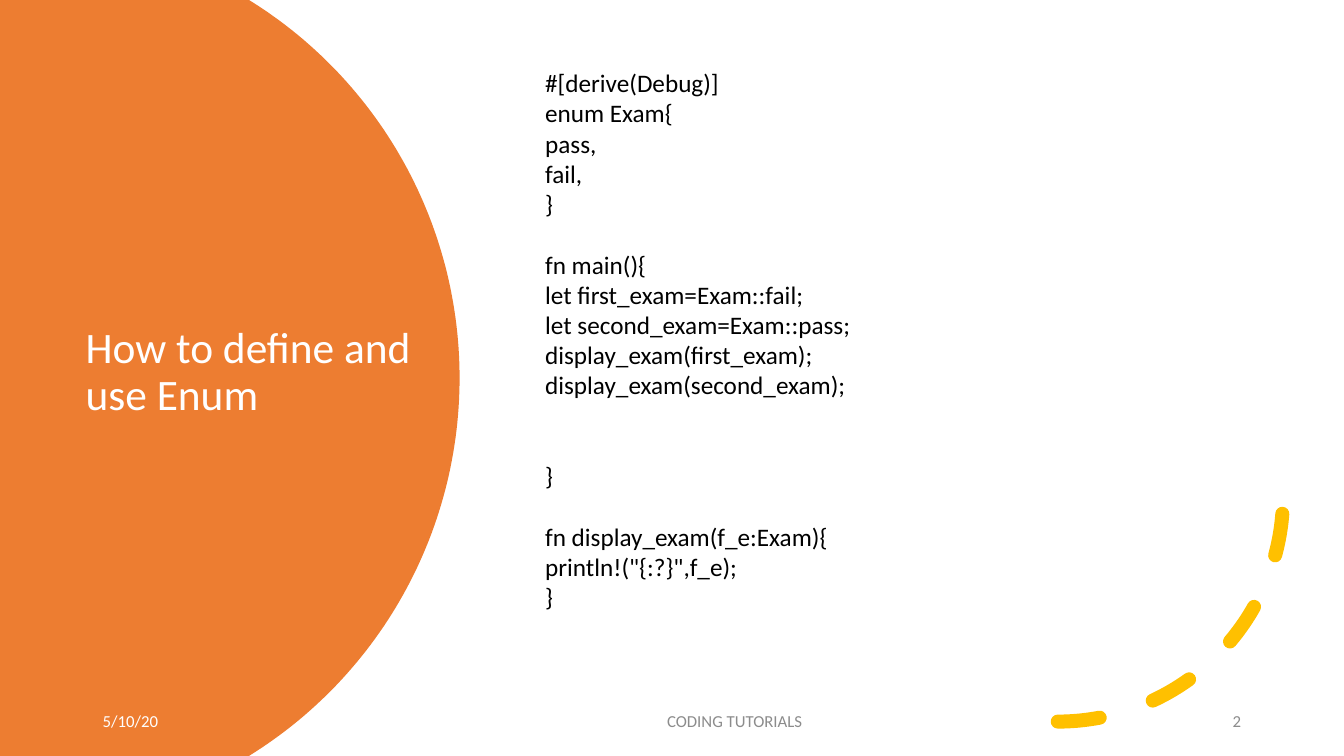
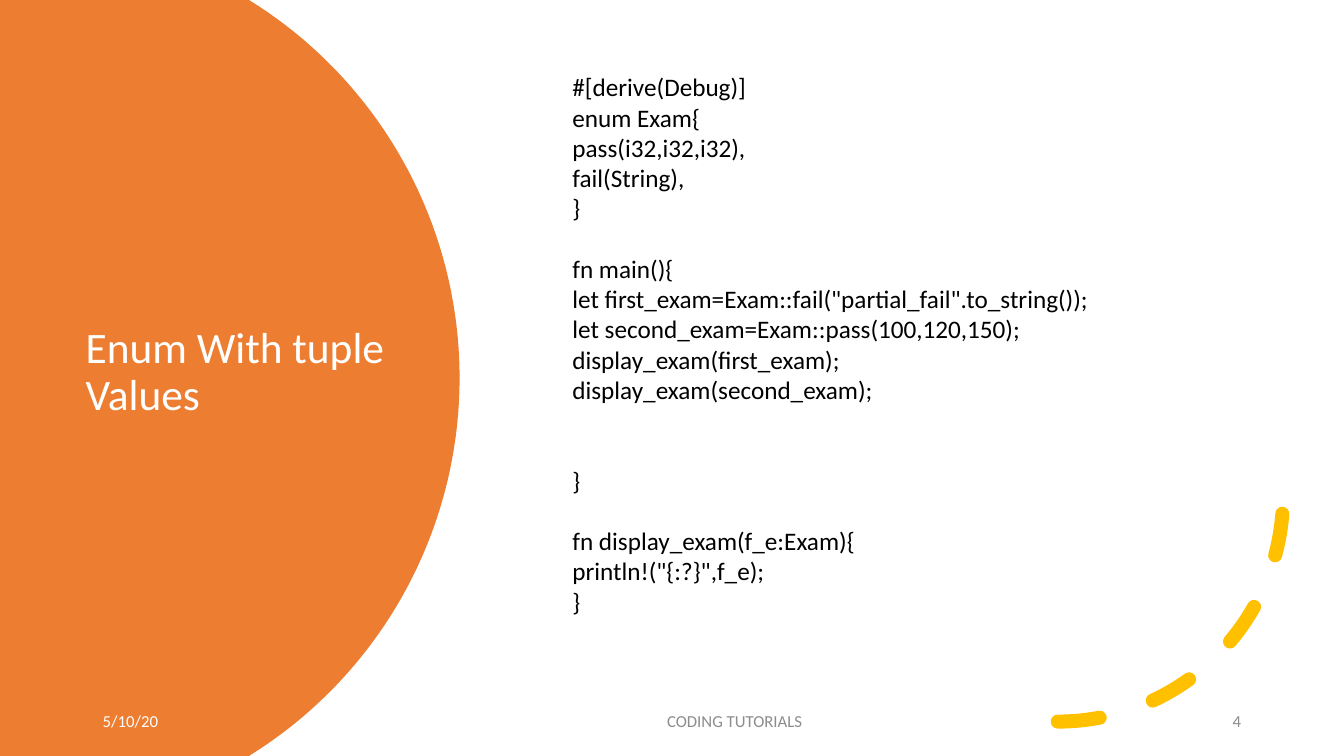
"""Build two slides that explain enums with code samples."""
import math

import pptx
import pptx.dml.color
import pptx.enum.dml
import pptx.enum.shapes
import pptx.enum.text
import pptx.util

Pt = pptx.util.Pt
ALIGN = pptx.enum.text.PP_ALIGN
ANCHOR = pptx.enum.text.MSO_ANCHOR

FONT = "Calibri"
ORANGE, YELLOW, WHITE, BLACK, GRAY = "ED7D31", "FFC000", "FFFFFF", "000000", "8C8C8C"
SLIDE_WIDTH, SLIDE_HEIGHT = 960, 540
CIRCLE_CENTER, CIRCLE_RADIUS, CIRCLE_STEPS = 10.8, 317.5, 120
CODE_LINE_HEIGHT = 21.6
BLANK_LINES_BEFORE = {5: 1, 10: 2, 11: 1}


def color(value):
    return pptx.dml.color.RGBColor.from_string(value)


def format_text(shape, size, text_color, alignment=ALIGN.LEFT, anchor=ANCHOR.MIDDLE):
    frame = shape.text_frame
    frame.word_wrap = True
    frame.auto_size = pptx.enum.text.MSO_AUTO_SIZE.NONE
    frame.vertical_anchor = anchor
    for paragraph in frame.paragraphs:
        paragraph.alignment = alignment
        for run in paragraph.runs:
            run.font.name = FONT
            run.font.size = Pt(size)
            run.font.color.rgb = color(text_color)


code_end = [
    "display_exam(first_exam);",
    "display_exam(second_exam);",
    "}",
    "fn display_exam(f_e:Exam){",
    'println!("{:?}",f_e);',
    "}",
]
contents = [
    ("How to define and use Enum", "2", (382.3, 44.6, 400, 422), [
        "#[derive(Debug)]",
        "enum Exam{",
        "pass,",
        "fail,",
        "}",
        "fn main(){",
        "let first_exam=Exam::fail;",
        "let second_exam=Exam::pass;",
    ]),
    ("Enum With tuple Values", "4", (401.8, 47.7, 492.5, 422), [
        "#[derive(Debug)]",
        "enum Exam{",
        "pass(i32,i32,i32),",
        "fail(String),",
        "}",
        "fn main(){",
        'let first_exam=Exam::fail("partial_fail".to_string());',
        "let second_exam=Exam::pass(100,120,150);",
    ]),
]

half_angle = math.asin(SLIDE_HEIGHT / 2 / CIRCLE_RADIUS)
circle_edge = []
for step in range(CIRCLE_STEPS + 1):
    angle = half_angle * (2 * step / CIRCLE_STEPS - 1)
    x = CIRCLE_CENTER + CIRCLE_RADIUS * math.cos(angle)
    y = SLIDE_HEIGHT / 2 + CIRCLE_RADIUS * math.sin(angle)
    circle_edge.append((Pt(x), Pt(y)))

presentation = pptx.Presentation()
presentation.slide_width = Pt(SLIDE_WIDTH)
presentation.slide_height = Pt(SLIDE_HEIGHT)

for title_text, slide_number, code_place, code_start in contents:
    slide = presentation.slides.add_slide(presentation.slide_layouts[5])

    title = slide.shapes.title
    title.left, title.top, title.width, title.height = Pt(54), Pt(90.7), Pt(252), Pt(351.4)
    title.text_frame.text = title_text
    format_text(title, 31, WHITE)
    title.text_frame.paragraphs[0].line_spacing = 0.9

    builder = slide.shapes.build_freeform(Pt(0), Pt(0))
    builder.add_line_segments(circle_edge + [(Pt(0), Pt(SLIDE_HEIGHT))], close=True)
    panel = builder.convert_to_shape()
    panel.shadow.inherit = False
    panel.fill.solid()
    panel.fill.fore_color.rgb = color(ORANGE)
    panel.line.fill.background()
    title.element.addprevious(panel.element)

    arc = slide.shapes.add_shape(
        pptx.enum.shapes.MSO_SHAPE.ARC, Pt(594.7), Pt(193.7), Pt(321.8), Pt(321.8))
    arc.shadow.inherit = False
    arc.fill.background()
    arc.line.color.rgb = color(YELLOW)
    arc.line.width = Pt(10)
    arc.line.dash_style = pptx.enum.dml.MSO_LINE.DASH
    arc.element.spPr.xfrm.set("flipV", "1")
    arc.element.spPr.ln.set("cap", "rnd")

    footers = [
        ("5/10/20", 66.2, 128.9, WHITE, ALIGN.LEFT),
        ("CODING TUTORIALS", 318.2, 413.3, GRAY, ALIGN.CENTER),
        (slide_number, 751, 142.6, GRAY, ALIGN.RIGHT),
    ]
    for text, left, width, text_color, alignment in footers:
        footer = slide.shapes.add_textbox(Pt(left), Pt(500.4), Pt(width), Pt(28.8))
        footer.text_frame.text = text
        format_text(footer, 12, text_color, alignment)
        footer.text_frame.paragraphs[0].space_after = Pt(6)

    code = slide.shapes.add_textbox(*map(Pt, code_place))
    code.text_frame.text = "\n".join(code_start + code_end)
    format_text(code, 18, BLACK, anchor=ANCHOR.TOP)
    for index, blank_lines in BLANK_LINES_BEFORE.items():
        code.text_frame.paragraphs[index].space_before = Pt(blank_lines * CODE_LINE_HEIGHT)

presentation.save("out.pptx")
